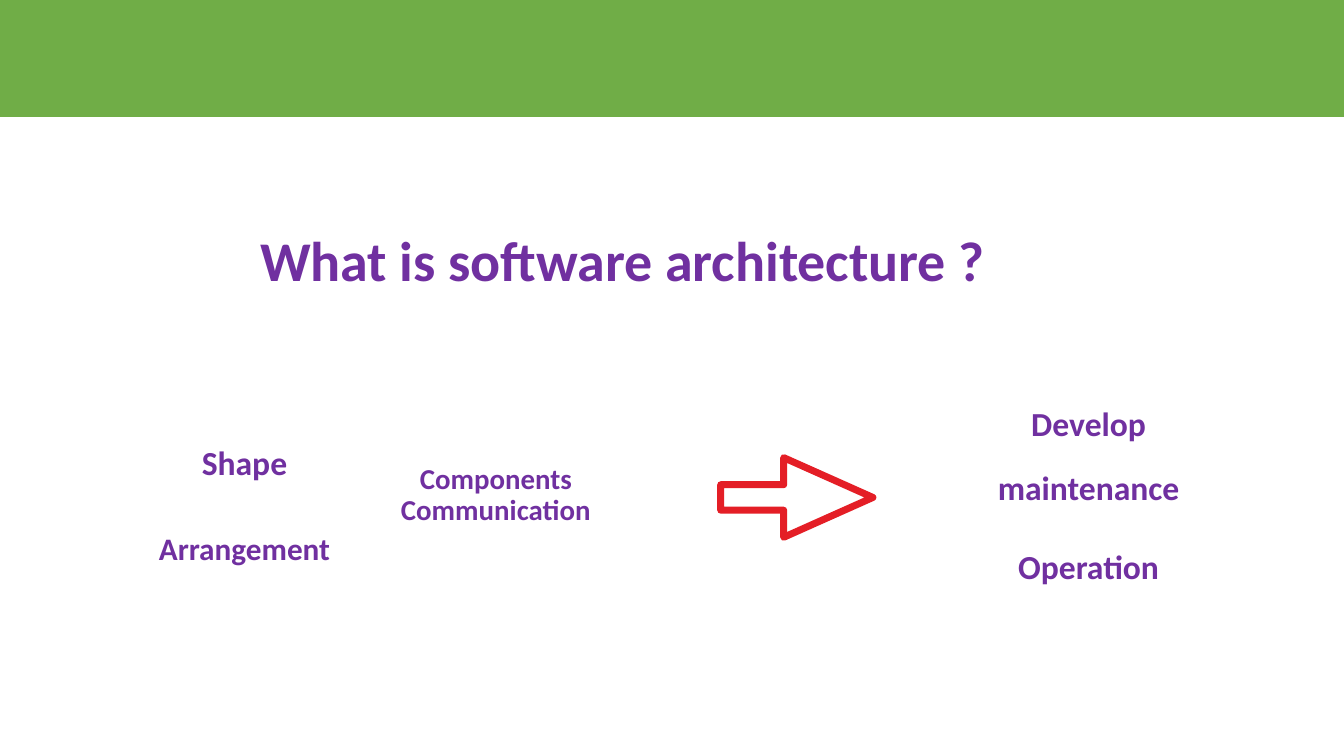
import pptx
import pptx.util
import pptx.dml.color
import pptx.enum.shapes
import pptx.enum.text

Pt = pptx.util.Pt
RGBColor = pptx.dml.color.RGBColor
MSO_SHAPE = pptx.enum.shapes.MSO_SHAPE
PP_ALIGN = pptx.enum.text.PP_ALIGN

GREEN = RGBColor(0x70, 0xAD, 0x47)
PURPLE = RGBColor(0x70, 0x30, 0xA0)
RED = RGBColor(0xE4, 0x1E, 0x26)
WHITE = RGBColor(0xFF, 0xFF, 0xFF)

TITLE = "What is software architecture ?"
TITLE_BOX = (182.2, 157.7, 596.2, 54)
BAND_BOX = (-33.8, -7.9, 1008.7, 90.7)
ARROW_BOX = (514.8, 326.9, 108.7, 56.9)
ARROW_ADJUSTMENTS = (0.32, 1.12)

COLUMNS = [
    {"left": 103, "width": 143.3, "height": 37.4,
     "labels": [("Shape", 315.4, 24), ("Arrangement", 377.3, 22.3)]},
    {"left": 274.3, "width": 159.8, "height": 54,
     "labels": [("Components Communication", 328.3, 20.6)]},
    {"left": 697.7, "width": 159.8, "height": 54,
     "labels": [("Develop", 287.3, 24), ("maintenance", 333.4, 24),
                ("Operation", 389.5, 24)]},
]


def add_text(slide, text, box, size, wrap=True, **paragraph_format):
    frame = slide.shapes.add_textbox(*map(Pt, box)).text_frame
    frame.word_wrap = wrap
    for side in ("left", "top", "right", "bottom"):
        setattr(frame, f"margin_{side}", Pt(3.6))
    paragraph = frame.paragraphs[0]
    for name, value in paragraph_format.items():
        setattr(paragraph, name, value)
    run = paragraph.add_run()
    run.text = text
    font_format = {"name": "Calibri", "size": Pt(size), "bold": True}
    for name, value in font_format.items():
        setattr(run.font, name, value)
    run.font.color.rgb = PURPLE


def add_figure(slide, kind, box, fill, line, line_width):
    shape = slide.shapes.add_shape(kind, *map(Pt, box))
    shape.shadow.inherit = False
    shape.fill.solid()
    shape.fill.fore_color.rgb = fill
    shape.line.color.rgb = line
    shape.line.width = Pt(line_width)
    return shape


def main():
    presentation = pptx.Presentation()
    presentation.slide_width = Pt(960)
    presentation.slide_height = Pt(540)
    slide = presentation.slides.add_slide(presentation.slide_layouts[6])

    add_figure(slide, MSO_SHAPE.RECTANGLE, BAND_BOX, GREEN, GREEN, 1)
    add_text(slide, TITLE, TITLE_BOX, 40, wrap=False, alignment=PP_ALIGN.LEFT)
    for column in COLUMNS:
        for text, top, size in column["labels"]:
            box = (column["left"], top, column["width"], column["height"])
            add_text(slide, text, box, size,
                     alignment=PP_ALIGN.CENTER, line_spacing=0.9)

    arrow = add_figure(slide, MSO_SHAPE.RIGHT_ARROW, ARROW_BOX, WHITE, RED, 5)
    for index, value in enumerate(ARROW_ADJUSTMENTS):
        arrow.adjustments[index] = value

    presentation.save("out.pptx")


if __name__ == "__main__":
    main()
